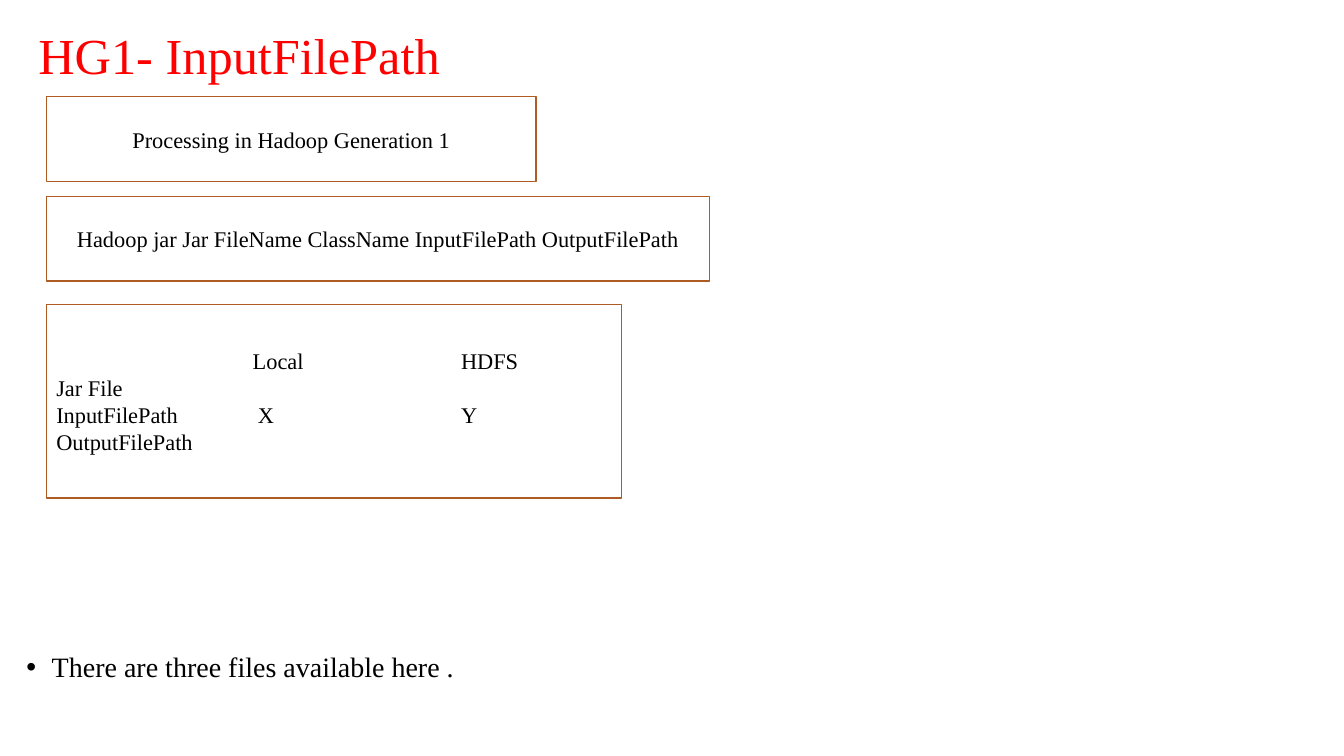
from dataclasses import dataclass

from lxml.etree import SubElement
from pptx import Presentation
from pptx.dml.color import RGBColor
from pptx.enum.shapes import MSO_SHAPE as Preset
from pptx.enum.text import MSO_ANCHOR as Anchor, MSO_AUTO_SIZE as AutoSize, PP_ALIGN as Align
from pptx.oxml.ns import qn
from pptx.util import Cm, Pt

COLOURS = {"title": "FF0000", "text": "000000", "fill": "FFFFFF", "border": "AF5C24"}
FONT = "Times New Roman"
BOX_LEFT = 1.17


@dataclass
class Line:
    text: str
    tabs: tuple[float, ...] = ()


@dataclass
class Box:
    top: float
    width: float
    height: float
    align: Align
    lines: list[Line]


BOXES = [
    Box(2.44, 12.34, 2.13, Align.CENTER, [Line("Processing in Hadoop Generation 1")]),
    Box(4.95, 16.71, 2.13, Align.CENTER,
        [Line("Hadoop jar Jar FileName ClassName InputFilePath OutputFilePath")]),
    Box(7.67, 14.5, 4.88, Align.LEFT, [
        Line("\tLocal\tHDFS", (4.95, 10.2)),
        Line("Jar File"),
        Line("InputFilePath\tX\tY", (5.08, 10.2)),
        Line("OutputFilePath"),
    ]),
]


def colour(name: str) -> RGBColor:
    return RGBColor.from_string(COLOURS[name])


def set_font(para, size: float, colour_name: str) -> None:
    para.font.name = FONT
    para.font.size = Pt(size)
    para.font.color.rgb = colour(colour_name)


def place(shape, left: float, top: float, width: float, height: float) -> None:
    shape.left, shape.top = Cm(left), Cm(top)
    shape.width, shape.height = Cm(width), Cm(height)


def add_tabs(para, stops: tuple[float, ...]) -> None:
    tab_list = SubElement(para._p.get_or_add_pPr(), qn("a:tabLst"))
    for stop in stops:
        SubElement(tab_list, qn("a:tab"), pos=str(Cm(stop)), algn="l")


def add_bullet(para, indent: float) -> None:
    properties = para._p.get_or_add_pPr()
    properties.set("marL", str(Cm(indent)))
    properties.set("indent", str(-Cm(indent)))
    SubElement(properties, qn("a:buFont"), typeface="Arial")
    SubElement(properties, qn("a:buChar"), char="•")


def fill_title(title) -> None:
    place(title, 0.71, 0.41, 32.36, 2.13)
    frame = title.text_frame
    frame.text = "HG1- InputFilePath"
    frame.vertical_anchor = Anchor.MIDDLE
    frame.auto_size = AutoSize.NONE
    para = frame.paragraphs[0]
    para.alignment = Align.LEFT
    para.line_spacing = 0.9
    set_font(para, 36, "title")


def fill_body(body) -> None:
    place(body, 0.41, 13.97, 32.97, 4.6)
    frame = body.text_frame
    frame.text = "There are three files available here ."
    frame.auto_size = AutoSize.NONE
    frame.margin_top = Cm(2.5)
    para = frame.paragraphs[0]
    add_bullet(para, 0.64)
    para.line_spacing = 0.9
    para.space_before = Pt(0)
    set_font(para, 20, "text")


def add_box(slide, box: Box) -> None:
    shape = slide.shapes.add_shape(
        Preset.RECTANGLE, Cm(BOX_LEFT), Cm(box.top), Cm(box.width), Cm(box.height))
    shape.shadow.inherit = False
    shape.fill.solid()
    shape.fill.fore_color.rgb = colour("fill")
    shape.line.color.rgb = colour("border")
    shape.line.width = Pt(1)
    frame = shape.text_frame
    frame.word_wrap = True
    frame.vertical_anchor = Anchor.MIDDLE
    frame.text = "\n".join(line.text for line in box.lines)
    for para, line in zip(frame.paragraphs, box.lines):
        para.alignment = box.align
        if line.tabs:
            add_tabs(para, line.tabs)
        set_font(para, 16, "text")


def main() -> None:
    deck = Presentation()
    deck.slide_width, deck.slide_height = Cm(33.87), Cm(19.05)
    slide = deck.slides.add_slide(deck.slide_layouts[1])
    fill_title(slide.shapes.title)
    fill_body(slide.placeholders[1])
    for box in BOXES:
        add_box(slide, box)
    deck.save("out.pptx")


if __name__ == "__main__":
    main()
